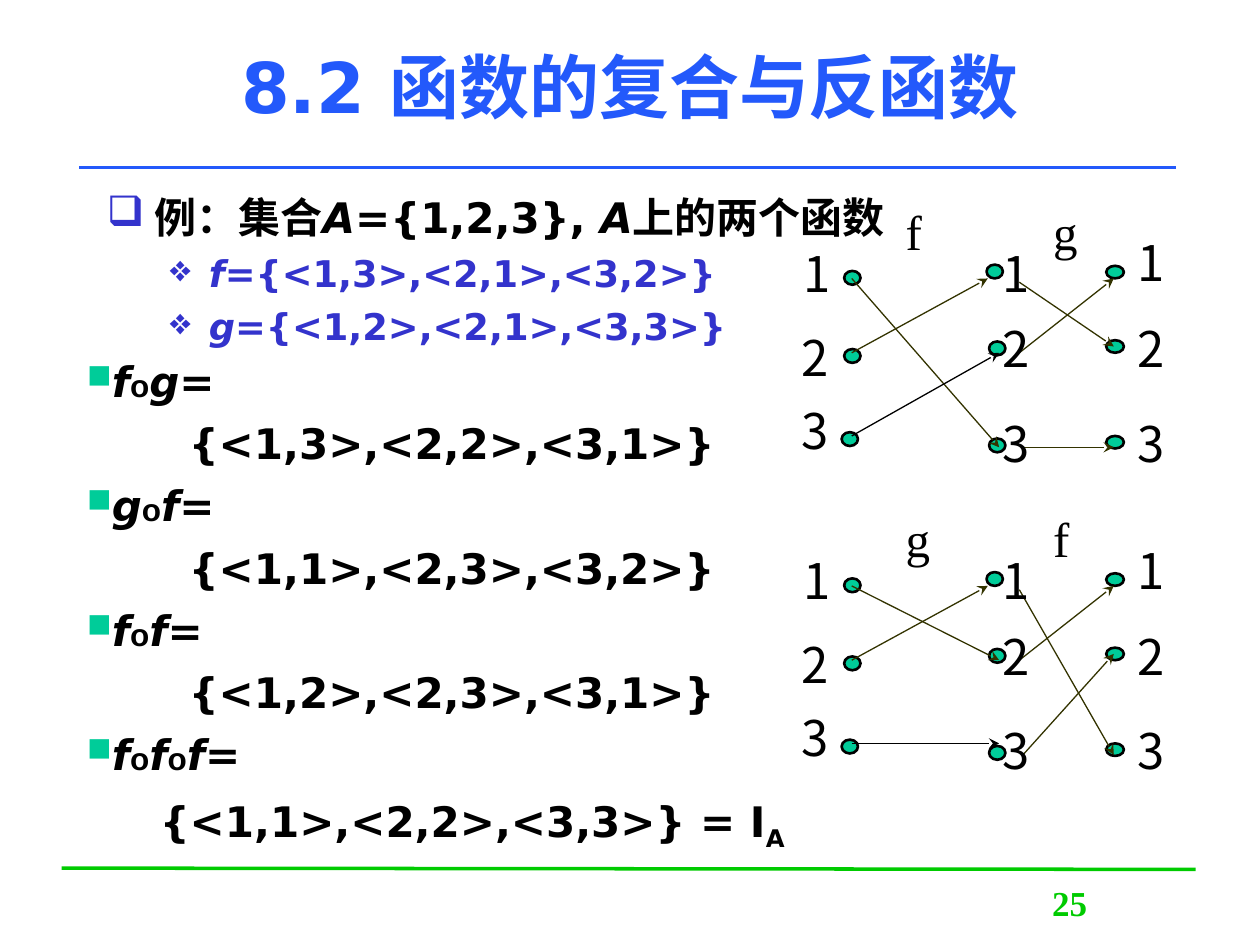
from lxml import etree
from pptx import Presentation
from pptx.dml.color import RGBColor
from pptx.enum.shapes import MSO_CONNECTOR, MSO_SHAPE
from pptx.enum.text import MSO_ANCHOR, MSO_AUTO_SIZE, PP_ALIGN
from pptx.oxml.ns import qn
from pptx.util import Inches, Pt

STRAIGHT = MSO_CONNECTOR.STRAIGHT
OVAL = MSO_SHAPE.OVAL
MIDDLE = MSO_ANCHOR.MIDDLE
GROW = MSO_AUTO_SIZE.SHAPE_TO_FIT_TEXT
CENTER, JUSTIFY = PP_ALIGN.CENTER, PP_ALIGN.JUSTIFY
SANS, HAN, SERIF, SMALL = "DejaVu Sans", "Noto Sans CJK SC", "Times New Roman", "Arial"
COLORS = {
    "title": "2359FB", "footer": "00CB00", "black": "000000",
    "indigo": "3333CC", "teal": "00CC99", "olive": "333300",
}

F = {1: 3, 2: 1, 3: 2}
G = {1: 2, 2: 1, 3: 3}
DOTS = [
    (6.7, 2.15, 0.13, 0.11), (6.7, 2.77, 0.13, 0.11), (6.68, 3.43, 0.13, 0.11),
    (7.83, 2.1, 0.13, 0.11), (7.85, 2.71, 0.13, 0.11), (7.85, 3.48, 0.13, 0.11),
    (8.78, 2.11, 0.14, 0.1), (8.78, 2.7, 0.14, 0.1), (8.78, 3.46, 0.14, 0.1),
]
NUMBERS = [
    (6.28, 1.88), (6.26, 2.55), (6.26, 3.13),
    (7.86, 1.88), (7.86, 2.48), (7.86, 3.23),
    (8.93, 1.8), (8.93, 2.48), (8.93, 3.23),
]
LEFT_STARTS = {1: (6.76, 2.21), 2: (6.76, 2.8), 3: (6.76, 3.46)}
LEFT_ENDS = {1: (7.84, 2.21), 2: (7.93, 2.8), 3: (7.93, 3.55)}
RIGHT_STARTS = {1: (8.09, 2.24), 2: (8.09, 2.8), 3: (8.12, 3.55)}
RIGHT_ENDS = {1: (8.84, 2.21), 2: (8.84, 2.75), 3: (8.84, 3.55)}
COMPOSITIONS = [
    ("fοg", "{<1,3>,<2,2>,<3,1>}"),
    ("gοf", "{<1,1>,<2,3>,<3,2>}"),
    ("fοf", "{<1,2>,<2,3>,<3,1>}"),
]


def color(name):
    """Return the named palette colour."""
    return RGBColor.from_string(COLORS[name])


def add_span(para, text, size=24, font=SANS, tint="black", bold=True, italic=False, base=0):
    """Append one formatted run to a paragraph."""
    span = para.add_run()
    span.text = text
    span.font.size, span.font.name = Pt(size), font
    span.font.bold, span.font.italic = bold, italic
    span.font.color.rgb = color(tint)
    properties = span.font._element
    etree.SubElement(properties, qn("a:ea"), typeface=HAN)
    if base:
        properties.set("baseline", str(base * 1000))


def set_indent(para, margin, hanging=0):
    """Set the left margin and first-line indent in inches."""
    properties = para._p.get_or_add_pPr()
    properties.set("marL", str(Inches(margin)))
    properties.set("indent", str(Inches(hanging)))


def set_bullet(para, char, tint, percent=100):
    """Give a paragraph a coloured bullet."""
    properties = para._p.get_or_add_pPr()
    holder = etree.SubElement(properties, qn("a:buClr"))
    etree.SubElement(holder, qn("a:srgbClr"), val=COLORS[tint])
    etree.SubElement(properties, qn("a:buSzPct"), val=str(percent * 1000))
    etree.SubElement(properties, qn("a:buChar"), char=char)


def add_box(parent, left, top, width, height, wrap=True, grow=False):
    """Add an empty text box and return its frame."""
    box = parent.shapes.add_textbox(Inches(left), Inches(top), Inches(width), Inches(height))
    frame = box.text_frame
    frame.word_wrap = wrap
    if grow:
        frame.auto_size = GROW
    return frame


def next_paragraph(frame, space):
    """Return the first unused paragraph, spaced from the one before it."""
    if not frame.paragraphs[0].runs:
        return frame.paragraphs[0]
    para = frame.add_paragraph()
    para.space_before = Pt(space)
    return para


def add_line(parent, start, end, tint, width, arrow=False):
    """Draw a straight line, with an optional stealth arrowhead."""
    line = parent.shapes.add_connector(STRAIGHT, *map(Inches, start + end))
    line.line.color.rgb = color(tint)
    line.line.width = Pt(width)
    if arrow:
        etree.SubElement(line.line._get_or_add_ln(), qn("a:tailEnd"), type="stealth")
    etree.SubElement(line._element.spPr, qn("a:effectLst"))


def add_dot(parent, left, top, width, height):
    """Draw one element of a set as an outlined dot."""
    dot = parent.shapes.add_shape(OVAL, Inches(left), Inches(top), Inches(width), Inches(height))
    dot.shadow.inherit = False
    dot.fill.solid()
    dot.fill.fore_color.rgb = color("teal")
    dot.line.color.rgb = color("black")
    dot.line.width = Pt(1.5)


def add_label(parent, text, left, top, font=HAN):
    """Add a one-character diagram label."""
    frame = add_box(parent, left, top, 0.4, 0.57, wrap=False, grow=True)
    add_span(frame.paragraphs[0], text, size=28, font=font, bold=False)


def add_arrows(group, mapping, starts, ends, drop):
    """Draw a function's arrows, keeping fixed points level."""
    for source, target in mapping.items():
        x, y = starts[source]
        end_x, end_y = ends[target]
        if source == target:
            end_y = y
        tint = "black" if starts is LEFT_STARTS and source == 3 else "olive"
        add_line(group, (x, y + drop), (end_x, end_y + drop), tint, 0.75, arrow=True)


def add_diagram(page, drop, first, second, names):
    """Draw two functions applied in turn."""
    group = page.shapes.add_group_shape()
    for left, top, width, height in DOTS:
        add_dot(group, left, top + drop, width, height)
    add_arrows(group, first, LEFT_STARTS, LEFT_ENDS, drop)
    add_arrows(group, second, RIGHT_STARTS, RIGHT_ENDS, drop)
    for index, (left, top) in enumerate(NUMBERS):
        add_label(group, str(index % 3 + 1), left, top + drop)
    for name, left in zip(names, (7.09, 8.26)):
        add_label(group, name, left, 1.55 + drop, font=SERIF)


def add_title(page):
    """Place and format the slide title."""
    title = page.shapes.title
    title.left, title.top = Inches(0.75), Inches(0.05)
    title.width, title.height = Inches(8.5), Inches(1.25)
    title.text_frame.vertical_anchor = MIDDLE
    para = title.text_frame.paragraphs[0]
    para.alignment = CENTER
    add_span(para, "8.2 函数的复合与反函数", size=40, tint="title")


def add_example(page):
    """Write the example and its two functions."""
    frame = add_box(page, 0.75, 1.47, 8.5, 5.35)
    para = next_paragraph(frame, 0)
    para.alignment = JUSTIFY
    set_indent(para, 0.38, -0.38)
    set_bullet(para, "❑", "indigo")
    for index, text in enumerate(["例：集合", "A", "={1,2,3}, ", "A", "上的两个函数"]):
        add_span(para, text, italic=index % 2 == 1)
    for name, pairs in [("f", "={<1,3>,<2,1>,<3,2>}"), ("g", "={<1,2>,<2,1>,<3,3>}")]:
        para = next_paragraph(frame, 5)
        para.alignment = JUSTIFY
        para.level = 1
        set_indent(para, 0.81, -0.31)
        set_bullet(para, "❖", "indigo")
        add_span(para, name, size=21, tint="indigo", italic=True)
        add_span(para, pairs, size=21, tint="indigo")


def add_composition(frame, name, pairs, margin=0.81, slanted=False):
    """Write a composition and its pairs on two lines."""
    para = next_paragraph(frame, 12.5)
    para.line_spacing = 0.8
    set_indent(para, 0)
    set_bullet(para, "■", "teal", 80)
    for letter in name:
        if letter == "ο":
            add_span(para, letter, size=18, font=SMALL)
        else:
            add_span(para, letter, italic=True)
    add_span(para, "=", italic=slanted)
    para = next_paragraph(frame, 12.5)
    para.line_spacing = 0.8
    set_indent(para, margin)
    add_span(para, pairs)
    return para


def add_compositions(page):
    """Write all the compositions."""
    frame = add_box(page, 0.59, 2.85, 5.98, 4.05, grow=True)
    for name, pairs in COMPOSITIONS:
        add_composition(frame, name, pairs)
    para = add_composition(frame, "fοfοf", "{<1,1>,<2,2>,<3,3>} = I", 0.58, slanted=True)
    add_span(para, "A", base=-25)


def main():
    """Build and save the slide."""
    deck = Presentation()
    deck.slide_width, deck.slide_height = Inches(10), Inches(7.5)
    page = deck.slides.add_slide(deck.slide_layouts[5])
    add_line(page, (0.49, 6.89), (9.49, 6.9), "footer", 2)
    add_line(page, (0.63, 1.33), (9.33, 1.33), "title", 2)
    number = add_box(page, 7.7, 6.95, 1.58, 0.5).paragraphs[0]
    number.alignment = CENTER
    add_span(number, "25", size=20, font=SERIF, tint="footer")
    add_title(page)
    add_example(page)
    add_diagram(page, 0, F, G, "fg")
    add_diagram(page, 2.44, G, F, "gf")
    add_compositions(page)
    deck.save("out.pptx")


if __name__ == "__main__":
    main()
